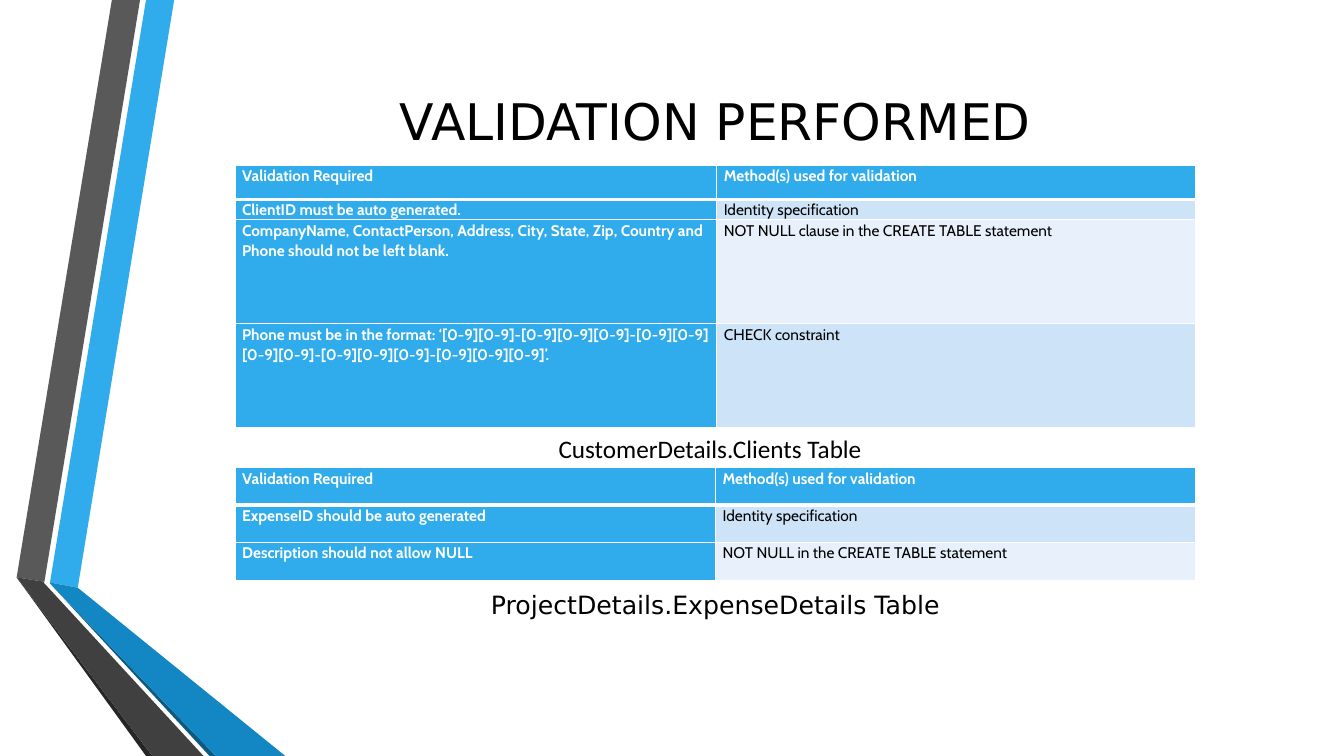
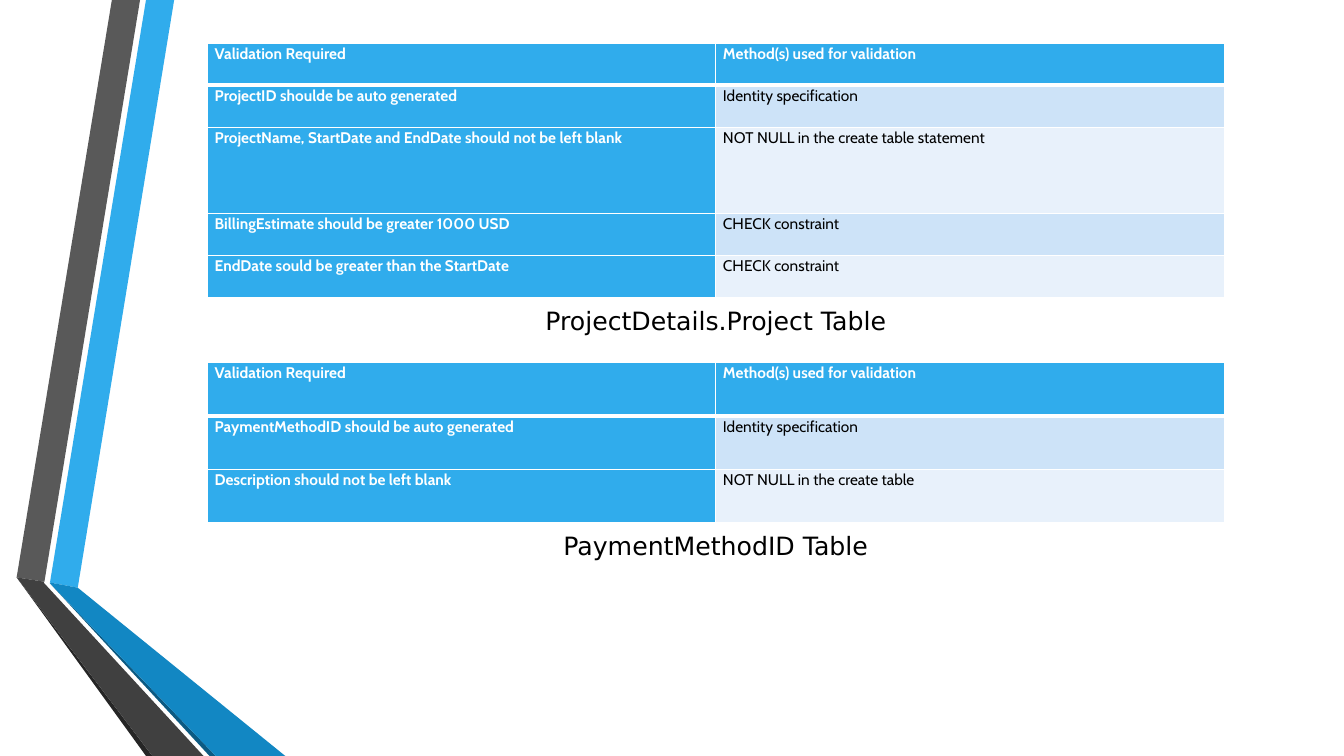
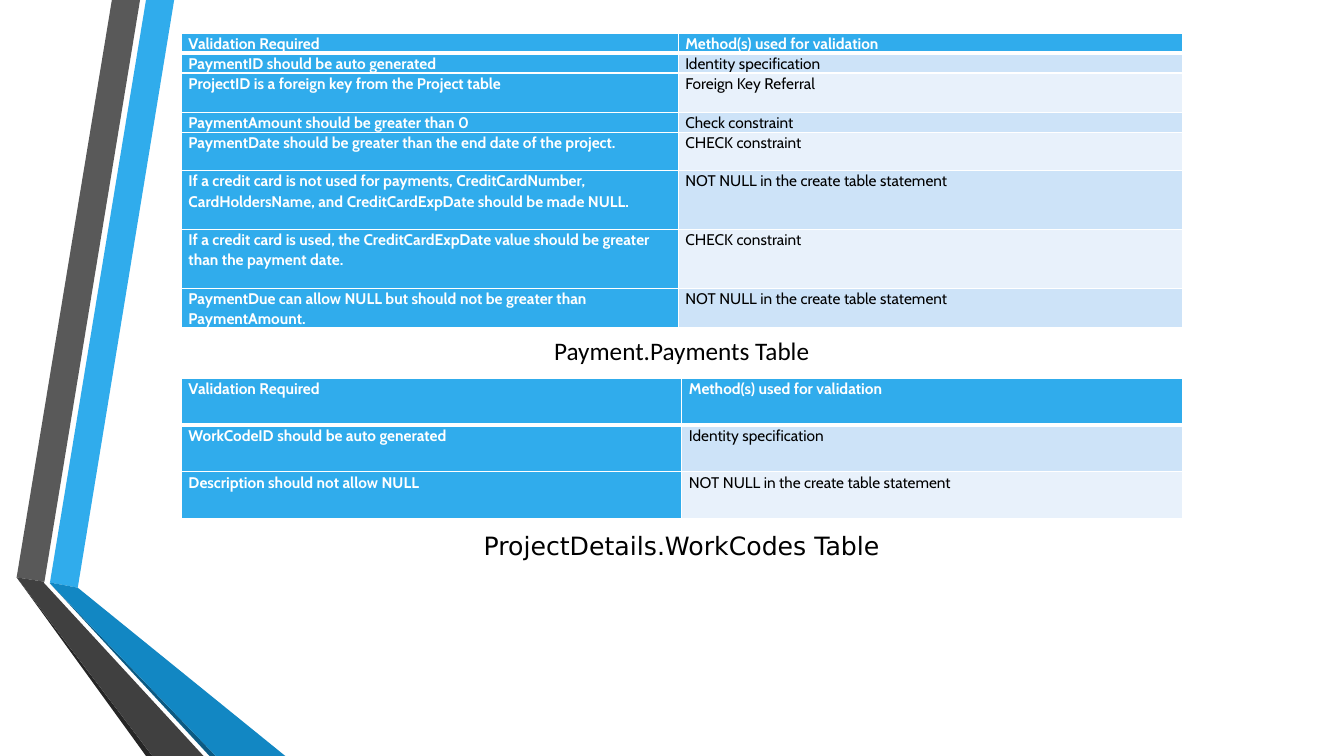
from lxml import etree
from pptx import Presentation
from pptx.dml.color import RGBColor
from pptx.enum.text import MSO_ANCHOR as Anchor, MSO_AUTO_SIZE as AutoSize, PP_ALIGN as Align
from pptx.oxml.ns import qn
from pptx.util import Cm, Pt

BLUE, WHITE, BLACK = "30ACEC", "FFFFFF", "000000"
STRIPES = ("CDE3F8", "E8F1FB")
SANS, CAPTION_FONT, TABLE_FONT = "DejaVu Sans", "Calibri", "Cabin"
HEADER = ("Validation Required", "Method(s) used for validation")
TITLE_ONLY, BLANK = 5, 6

BANDS = [
    (BLUE, [(1.26, 14.68), (1.96, 14.81), (4.39, 0), (3.68, 0)]),
    ("595959", [(3.53, 0), (2.82, 0), (0.42, 14.55), (1.12, 14.66)]),
    ("262626", [(0.42, 14.55), (3.68, 19.05), (3.84, 19.05)]),
    ("0C5A82", [(1.26, 14.7), (5.28, 19.05), (5.44, 19.05)]),
    ("1287C3", [(1.26, 14.7), (5.44, 19.05), (7.19, 19.05), (1.96, 14.81), (1.26, 14.68)]),
    ("404040", [(5.13, 19.05), (1.22, 14.81), (1.1, 14.68), (1.12, 14.66),
                (0.42, 14.55), (3.84, 19.05)]),
]

SLIDES = [
    {
        "title": "VALIDATION PERFORMED",
        "left": 5.92,
        "tables": [
            {
                "top": 4.17, "cols": (12.14, 12.07), "heights": (0.86, 0.48, 2.62, 2.62),
                "rows": [
                    ("ClientID must be auto generated.", "Identity specification"),
                    ("CompanyName, ContactPerson, Address, City, State, Zip, Country and Phone "
                     "should not be left blank.",
                     "NOT NULL clause in the CREATE TABLE statement"),
                    ("Phone must be in the format: ‘[0-9][0-9]-[0-9][0-9][0-9]-[0-9][0-9][0-9][0-9]"
                     "-[0-9][0-9][0-9]-[0-9][0-9][0-9]’.", "CHECK constraint"),
                ],
                "caption": ("CustomerDetails.Clients Table", CAPTION_FONT, 5.79, 10.74),
            },
            {
                "top": 11.79, "cols": (12.11, 12.11), "heights": (0.94, 0.94, 0.95),
                "rows": [
                    ("ExpenseID should be auto generated", "Identity specification"),
                    ("Description should not allow NULL", "NOT NULL in the CREATE TABLE statement"),
                ],
                "caption": ("ProjectDetails.ExpenseDetails Table", SANS, 5.92, 14.68),
            },
        ],
    },
    {
        "left": 5.23,
        "tables": [
            {
                "top": 1.09, "cols": (12.81, 12.81), "heights": (1.06, 1.06, 2.17, 1.06, 1.06),
                "rows": [
                    ("ProjectID shoulde be auto generated", "Identity specification"),
                    ("ProjectName, StartDate and EndDate should not be left blank",
                     "NOT NULL in the create table statement"),
                    ("BillingEstimate should be greater 1000 USD", "CHECK constraint"),
                    ("EndDate sould be greater than the StartDate", "CHECK constraint"),
                ],
                "caption": ("ProjectDetails.Project Table", SANS, 5.23, 7.52),
            },
            {
                "top": 9.13, "cols": (12.81, 12.81), "heights": (1.35, 1.35, 1.35),
                "rows": [
                    ("PaymentMethodID should be auto generated", "Identity specification"),
                    ("Description should not be left blank", "NOT NULL in the create table"),
                ],
                "caption": ("PaymentMethodID Table", SANS, 5.23, 13.18),
            },
        ],
    },
    {
        "left": 4.57,
        "tables": [
            {
                "top": 0.84, "cols": (12.52, 12.7),
                "heights": (0.5, 0.5, 0.99, 0.5, 0.97, 1.48, 1.48, 1),
                "rows": [
                    ("PaymentID should be auto generated", "Identity specification"),
                    ("ProjectID is a foreign key from the Project table", "Foreign Key Referral"),
                    ("PaymentAmount should be greater than 0", "Check constraint"),
                    ("PaymentDate should be greater than the end date of the project.",
                     "CHECK constraint"),
                    ("If a credit card is not used for payments, CreditCardNumber, CardHoldersName, "
                     "and CreditCardExpDate should be made NULL.",
                     "NOT NULL in the create table statement"),
                    ("If a credit card is used, the CreditCardExpDate value should be greater than "
                     "the payment date.", "CHECK constraint"),
                    ("PaymentDue can allow NULL but should not be greater than PaymentAmount.",
                     "NOT NULL in the create table statement"),
                ],
                "caption": ("Payment.Payments Table", CAPTION_FONT, 4.57, 8.26),
            },
            {
                "top": 9.53, "cols": (12.61, 12.61), "heights": (1.18, 1.18, 1.18),
                "rows": [
                    ("WorkCodeID should be auto generated", "Identity specification"),
                    ("Description should not allow NULL", "NOT NULL in the create table statement"),
                ],
                "caption": ("ProjectDetails.WorkCodes Table", SANS, 4.57, 13.18),
            },
        ],
    },
]


def rgb(value):
    return RGBColor.from_string(value)


def style(p, name, size, color, bold=False):
    p.font.name, p.font.size, p.font.bold = name, Pt(size), bold
    p.font.color.rgb = rgb(color)


def add_bands(prs, slide):
    group = slide.shapes.add_group_shape()
    for color, points in BANDS:
        start, *rest = [(Cm(x), Cm(y)) for x, y in points]
        builder = group.shapes.build_freeform(*start)
        builder.add_line_segments(rest)
        sp = builder.convert_to_shape()
        sp.shadow.inherit = False
        sp.fill.solid()
        sp.fill.fore_color.rgb = rgb(color)
        sp.line.fill.background()
    for number, props in enumerate(group.element.iter(qn("p:cNvPr")), 100):
        props.set("id", str(number))
    prs.slide_master.shapes.element.insert(2, group.element)


def add_title(slide, text):
    title = slide.shapes.title
    title.left, title.top, title.width, title.height = Cm(4.11), Cm(1.9), Cm(27.84), Cm(2.26)
    tf = title.text_frame
    tf.text = text
    tf.auto_size, tf.vertical_anchor = AutoSize.NONE, Anchor.MIDDLE
    p = tf.paragraphs[0]
    p.alignment = Align.CENTER
    style(p, SANS, 36, BLACK)


def set_borders(cell, widths):
    tc_pr = cell._tc.get_or_add_tcPr()
    for i, (side, width) in enumerate(zip("LRTB", widths)):
        line = etree.Element(qn(f"a:ln{side}"), w=str(Pt(width)))
        fill = etree.SubElement(line, qn("a:solidFill"))
        etree.SubElement(fill, qn("a:srgbClr"), val=WHITE)
        tc_pr.insert(i, line)


def add_validation_table(slide, left, data):
    rows = [HEADER, *data["rows"]]
    cols, heights = data["cols"], data["heights"]
    table = slide.shapes.add_table(len(rows), len(cols), Cm(left), Cm(data["top"]),
                                   Cm(sum(cols)), Cm(sum(heights))).table
    for column, width in zip(table.columns, cols):
        column.width = Cm(width)
    for row, height in zip(table.rows, heights):
        row.height = Cm(height)
    for r, texts in enumerate(rows):
        for c, text in enumerate(texts):
            strong = r == 0 or c == 0
            cell = table.cell(r, c)
            cell.margin_left = cell.margin_right = Cm(0.18)
            cell.margin_top = cell.margin_bottom = 0
            cell.fill.solid()
            cell.fill.fore_color.rgb = rgb(BLUE if strong else STRIPES[(r - 1) % 2])
            set_borders(cell, (1, 1, 3 if r == 1 else 1, 3 if r == 0 else 1))
            cell.text = text
            p = cell.text_frame.paragraphs[0]
            p.line_spacing = 1.07
            style(p, TABLE_FONT, 11, WHITE if strong else BLACK, strong)


def add_caption(slide, width, text, font, left, top):
    tf = slide.shapes.add_textbox(Cm(left), Cm(top), Cm(width), Cm(1.04)).text_frame
    tf.word_wrap, tf.auto_size = True, AutoSize.SHAPE_TO_FIT_TEXT
    tf.text = text
    p = tf.paragraphs[0]
    p.alignment, p.line_spacing, p.space_after = Align.CENTER, 1.07, Pt(8)
    style(p, font, 18, BLACK)


def main():
    prs = Presentation()
    prs.slide_width, prs.slide_height = Cm(33.87), Cm(19.05)
    for number, content in enumerate(SLIDES):
        layout = TITLE_ONLY if "title" in content else BLANK
        slide = prs.slides.add_slide(prs.slide_layouts[layout])
        if number == 0:
            add_bands(prs, slide)
        if "title" in content:
            add_title(slide, content["title"])
        for data in content["tables"]:
            add_validation_table(slide, content["left"], data)
            add_caption(slide, sum(data["cols"]), *data["caption"])
    prs.save("out.pptx")


if __name__ == "__main__":
    main()
